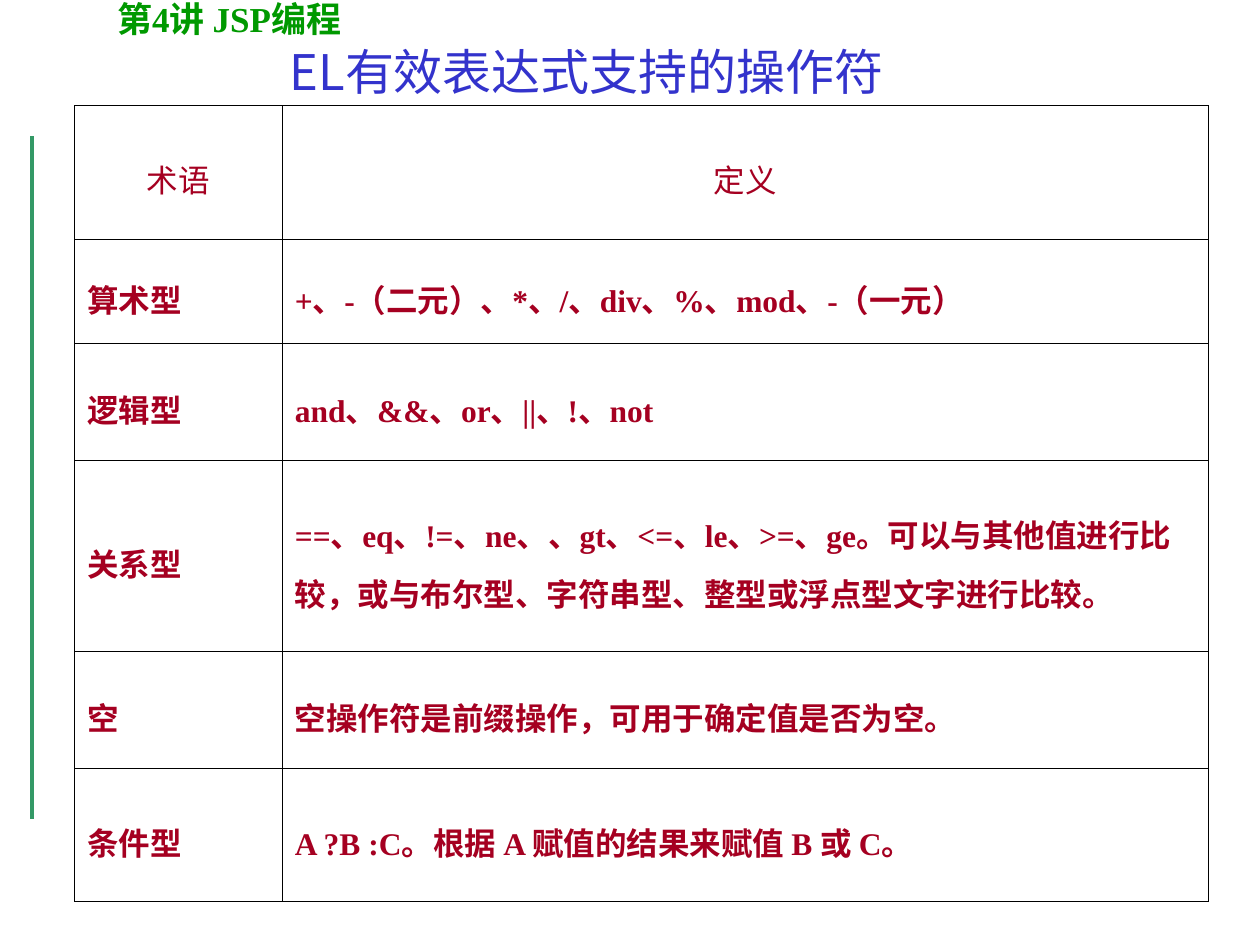
import pptx
import pptx.dml.color
import pptx.enum.shapes
import pptx.enum.text
import pptx.oxml
import pptx.oxml.ns
import pptx.util
from pptx.util import Cm, Pt

LATIN, CJK = "Times New Roman", "Noto Sans CJK SC"
GREEN, RULE, BLUE, RED, BLACK = "009900", "339966", "3333CC", "A50021", "000000"

COURSE = "第4讲 JSP编程"
TITLE = "EL有效表达式支持的操作符"
ROWS = [
    ("术语", "定义"),
    ("算术型", "+、-（二元）、*、/、div、%、mod、-（一元）"),
    ("逻辑型", "and、&&、or、||、!、not"),
    ("关系型", "==、eq、!=、ne、、gt、<=、le、>=、ge。可以与其他值进行比较，"
               "或与布尔型、字符串型、整型或浮点型文字进行比较。"),
    ("空", "空操作符是前缀操作，可用于确定值是否为空。"),
    ("条件型", "A ?B :C。根据 A 赋值的结果来赋值 B 或 C。"),
]
COL_WIDTHS = [4.19, 18.67]
ROW_HEIGHTS = [2.69, 2.11, 2.36, 3.84, 2.36, 2.67]


def rgb(color):
    return pptx.dml.color.RGBColor.from_string(color)


def add_run(p, text, size, color, bold=False, font=LATIN):
    r = p.add_run()
    r.text = text
    r.font.size = Pt(size)
    r.font.bold = bold
    r.font.name = font
    r.font.color.rgb = rgb(color)
    ea = r.font._element.makeelement(pptx.oxml.ns.qn("a:ea"), {"typeface": CJK})
    r.font._element.append(ea)


def add_text(s, box, wrap, anchor):
    """Add a text box and return its first paragraph."""
    tf = s.shapes.add_textbox(*map(Cm, box)).text_frame
    tf.word_wrap = wrap
    tf.vertical_anchor = anchor
    tf.auto_size = pptx.enum.text.MSO_AUTO_SIZE.SHAPE_TO_FIT_TEXT
    return tf.paragraphs[0]


def set_borders(cell, color, width):
    tc_pr = cell._tc.get_or_add_tcPr()
    for i, side in enumerate("LRTB"):
        tc_pr.insert(i, pptx.oxml.parse_xml(
            f'<a:ln{side} {pptx.oxml.ns.nsdecls("a")} w="{Pt(width)}">'
            f'<a:solidFill><a:srgbClr val="{color}"/></a:solidFill></a:ln{side}>'))


def add_operator_table(s):
    table = s.shapes.add_table(
        len(ROWS), len(COL_WIDTHS), Cm(1.5), Cm(2.13),
        Cm(sum(COL_WIDTHS)), Cm(sum(ROW_HEIGHTS))).table
    table.first_row = table.horz_banding = False
    for col, width in zip(table.columns, COL_WIDTHS):
        col.width = Cm(width)
    for i, (row, height) in enumerate(zip(table.rows, ROW_HEIGHTS)):
        row.height = Cm(height)
        for cell, text in zip(row.cells, ROWS[i]):
            cell.fill.background()
            set_borders(cell, BLACK, 0.45)
            cell.vertical_anchor = pptx.enum.text.MSO_ANCHOR.MIDDLE
            p = cell.text_frame.paragraphs[0]
            p.line_spacing = 1.3
            if i == 0:
                p.alignment = pptx.enum.text.PP_ALIGN.CENTER
            add_run(p, text, 18, RED, bold=i > 0)


def main():
    prs = pptx.Presentation()
    prs.slide_width, prs.slide_height = Cm(25.4), Cm(19.05)
    s = prs.slides.add_slide(prs.slide_layouts[6])

    rule = s.shapes.add_connector(
        pptx.enum.shapes.MSO_CONNECTOR.STRAIGHT, Cm(0.64), Cm(2.75), Cm(0.64), Cm(16.5))
    rule.line.color.rgb = rgb(RULE)
    rule.line.width = Pt(2.25)
    sp_pr = rule._element.spPr
    sp_pr.append(sp_pr.makeelement(pptx.oxml.ns.qn("a:effectLst"), {}))

    p = add_text(s, (2.11, -0.18, 5.18, 1.96), True, pptx.enum.text.MSO_ANCHOR.TOP)
    add_run(p, COURSE, 20, GREEN, bold=True)

    add_operator_table(s)

    p = add_text(s, (5.59, 0.71, 13.06, 1.45), False, pptx.enum.text.MSO_ANCHOR.MIDDLE)
    add_run(p, TITLE, 28, BLUE, font=CJK)

    prs.save("out.pptx")


if __name__ == "__main__":
    main()
